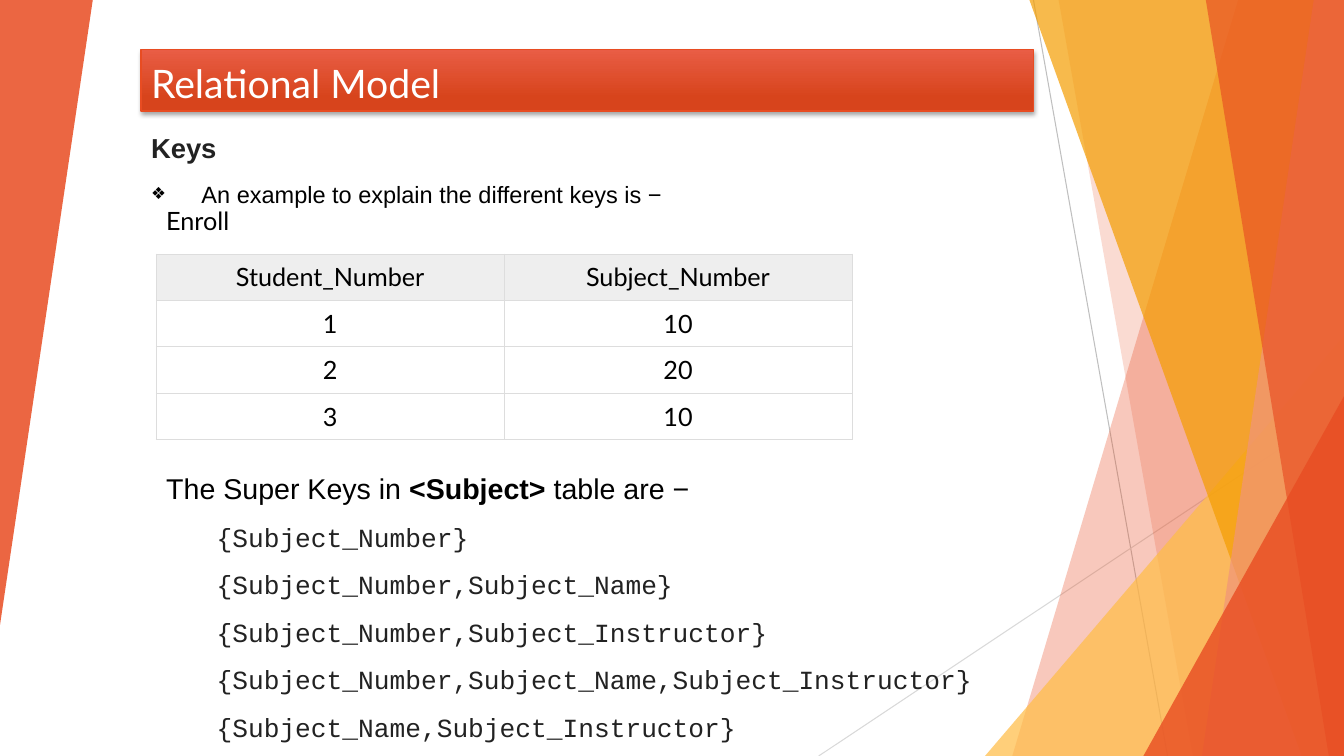
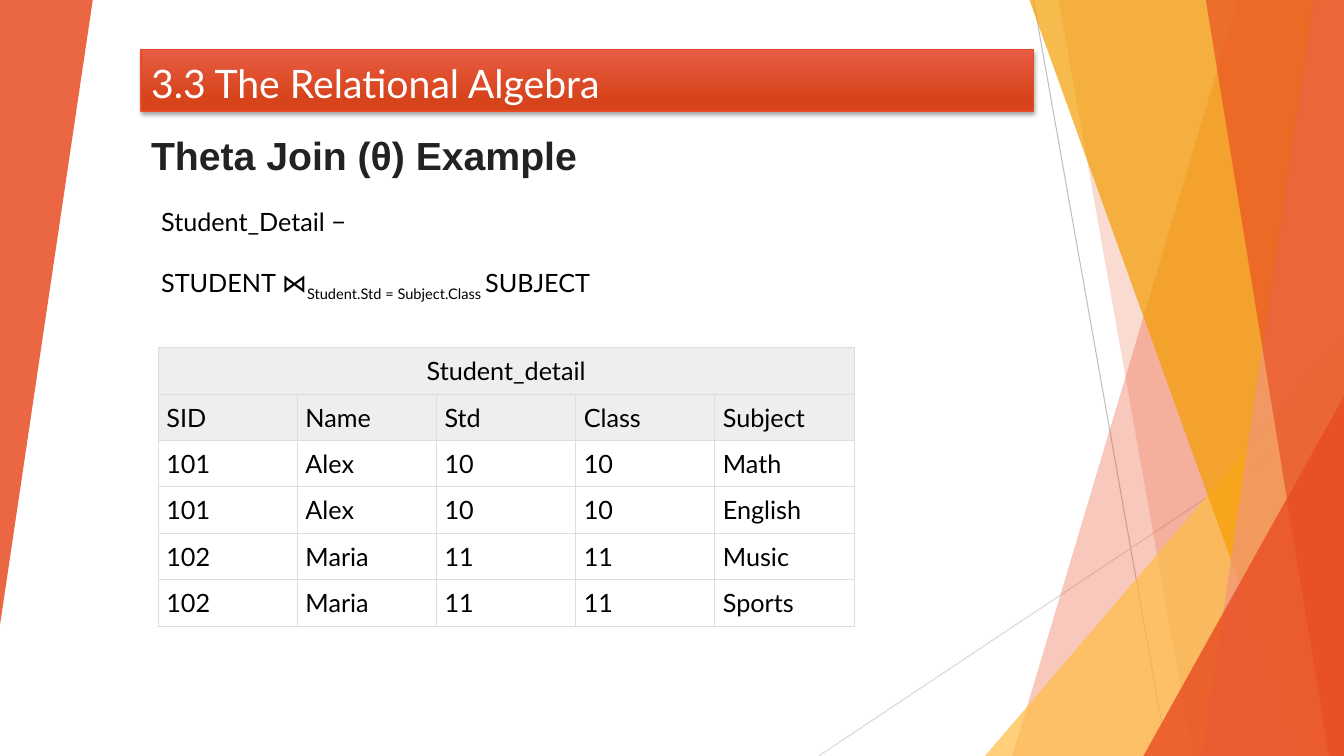
from dataclasses import dataclass

from lxml import etree
from pptx import Presentation
from pptx.dml.color import RGBColor
from pptx.enum.shapes import MSO_CONNECTOR, MSO_SHAPE
from pptx.enum.text import MSO_ANCHOR, PP_ALIGN
from pptx.oxml.ns import qn
from pptx.util import Inches, Pt

LINE = MSO_CONNECTOR.STRAIGHT
RECT, TRIANGLE = MSO_SHAPE.RECTANGLE, MSO_SHAPE.ISOSCELES_TRIANGLE
LEFT, CENTER, JUSTIFY = PP_ALIGN.LEFT, PP_ALIGN.CENTER, PP_ALIGN.JUSTIFY
TOP, BOTTOM = MSO_ANCHOR.TOP, MSO_ANCHOR.BOTTOM


@dataclass(frozen=True)
class Theme:
    """Colours, fonts, type sizes and page measures."""
    width: float = 13.33
    height: float = 7.5
    accent: str = "E84C22"
    amber: str = "F49D00"
    gold: str = "FFBD47"
    salmon: str = "F1947A"
    title_top: str = "E95D45"
    title_bottom: str = "D7441C"
    dark_line: str = "BFBFBF"
    light_line: str = "D9D9D9"
    border: str = "DDDDDD"
    header: str = "EEEEEE"
    white: str = "FFFFFF"
    black: str = "000000"
    ink: str = "222222"
    body_font: str = "Lato"
    text_font: str = "Arial"
    code_font: str = "Courier New"
    title: float = 28
    heading: float = 19.6
    bullet: float = 16.8
    lead: float = 20.4
    code: float = 18.7
    body: float = 18
    gap: float = 11.5


T = Theme()


def rgb(value):
    """Turn a hex string into a colour."""
    return RGBColor.from_string(value)


def sub(parent, tag, **attrs):
    """Append an XML child with attributes."""
    child = etree.SubElement(parent, qn(tag))
    for name, value in attrs.items():
        child.set(name, str(value))
    return child


def add_bullet(p, char, color, percent):
    """Give a paragraph a bullet character."""
    pPr = p._p.get_or_add_pPr()
    sub(sub(pPr, "a:buClr"), "a:srgbClr", val=color)
    sub(pPr, "a:buSzPct", val=percent * 1000)
    sub(pPr, "a:buFont", typeface=T.text_font)
    sub(pPr, "a:buChar", char=char)


def put_text(tf, runs, size=T.body, font=T.body_font, color=T.black, bold=False,
             align=LEFT, before=0, margin=0, hang=0, bullet=None):
    """Write one paragraph from a string or (text, bold, baseline) runs."""
    p = tf.paragraphs[0]
    if p.runs:
        p = tf.add_paragraph()
        p.space_before = Pt(before)
    p.alignment = align
    if margin:
        pPr = p._p.get_or_add_pPr()
        pPr.set("marL", str(Inches(margin)))
        pPr.set("indent", str(Inches(-hang)))
    if bullet:
        add_bullet(p, bullet, color, 71)
    if isinstance(runs, str):
        runs = [(runs, bold, 0)]
    for text, strong, baseline in runs:
        r = p.add_run()
        r.text = text
        r.font.size, r.font.name, r.font.bold = Pt(size), font, strong
        r.font.color.rgb = rgb(color)
        if baseline:
            r._r.get_or_add_rPr().set("baseline", str(baseline * 1000))


def text_box(s, x, y, w, h):
    """Add a wrapping text box and return its text frame."""
    tf = s.shapes.add_textbox(Inches(x), Inches(y), Inches(w), Inches(h)).text_frame
    tf.word_wrap = True
    return tf


def paint(sp, color, opacity):
    """Fill a shape with a translucent colour and no outline."""
    sp.shadow.inherit = False
    sp.fill.solid()
    sp.fill.fore_color.rgb = rgb(color)
    sp.line.fill.background()
    sub(sp.element.spPr.find(".//" + qn("a:srgbClr")), "a:alpha", val=opacity * 1000)


def thin_line(s, x1, y1, x2, y2, color):
    """Draw a thin straight line."""
    sp = s.shapes.add_connector(LINE, Inches(x1), Inches(y1), Inches(x2), Inches(y2))
    sp.line.color.rgb = rgb(color)
    sp.line.width = Pt(0.75)
    sub(sp.element.spPr, "a:effectLst")


def panel(s, top_x, bottom_x, color, opacity):
    """Draw a panel from a slanted left edge to the right edge of the page."""
    fb = s.shapes.build_freeform(Inches(top_x), 0)
    right, bottom = Inches(T.width), Inches(T.height)
    fb.add_line_segments([(right, 0), (right, bottom), (Inches(bottom_x), bottom)])
    paint(fb.convert_to_shape(), color, opacity)


def corner(s, x, y, w, h, color, opacity, rotation=0):
    """Draw a right-angled triangle."""
    sp = s.shapes.add_shape(TRIANGLE, Inches(x), Inches(y), Inches(w), Inches(h))
    sp.adjustments[0] = 1
    sp.rotation = rotation
    paint(sp, color, opacity)


def facets(s):
    """Draw the facets at both sides of the page."""
    thin_line(s, 10.25, 0, 11.58, T.height, T.dark_line)
    thin_line(s, T.width, 4.03, 8.12, T.height, T.light_line)
    panel(s, 12.28, 10.04, T.accent, 30)
    panel(s, 10.5, 11.83, T.accent, 20)
    corner(s, 9.77, 3.33, 3.56, 4.17, T.gold, 72)
    panel(s, 10.21, 12.91, T.amber, 70)
    panel(s, 13.03, 11.92, T.salmon, 70)
    panel(s, 11.96, 13.18, T.accent, 65)
    corner(s, 11.34, 3.93, 1.99, 3.57, T.accent, 80)
    corner(s, 0, 0, 0.92, 6.2, T.accent, 85, rotation=180)


def share_facets(s, layout):
    """Replace the layout's placeholders with the facets, drawn by way of a slide."""
    for ph in list(layout.placeholders):
        ph.element.getparent().remove(ph.element)
    facets(s)
    for sp in list(s.shapes):
        layout.shapes.element.append(sp.element)


def title_bar(s, text, x=1.4, y=0.49, w=8.85, h=0.61):
    """Draw the gradient title bar."""
    sp = s.shapes.add_shape(RECT, Inches(x), Inches(y), Inches(w), Inches(h))
    sp.fill.gradient()
    sp.fill.gradient_angle = 270
    stops = zip(sp.fill.gradient_stops, ((0, T.title_top), (0.78, T.title_bottom)))
    for stop, (position, color) in stops:
        stop.position = position
        stop.color.rgb = rgb(color)
    sp.line.color.rgb = rgb(T.accent)
    sp.line.width = Pt(1)
    sp.shadow.inherit = False
    shadow = sub(sp.element.spPr.find(qn("a:effectLst")), "a:outerShdw",
                 blurRad=Pt(3), dist=Pt(2), dir=5400000, rotWithShape=0)
    sub(sub(shadow, "a:srgbClr", val=T.black), "a:alpha", val=35000)
    tf = sp.text_frame
    tf.word_wrap = True
    tf.vertical_anchor = BOTTOM
    put_text(tf, text, size=T.title, color=T.white)


def style_cell(cell, fill):
    """Give a cell its insets, borders and fill."""
    cell.margin_left = cell.margin_right = Inches(0.08)
    cell.margin_top = cell.margin_bottom = Inches(0.08)
    cell.vertical_anchor = TOP
    tcPr = cell._tc.get_or_add_tcPr()
    for side in ("a:lnL", "a:lnR", "a:lnT", "a:lnB"):
        ln = sub(tcPr, side, w=Pt(0.75))
        sub(sub(ln, "a:solidFill"), "a:srgbClr", val=T.border)
    cell.fill.solid()
    cell.fill.fore_color.rgb = rgb(fill)


def data_table(s, x, y, w, rows, caption=None, align=LEFT, row_h=0.46):
    """Add a table with a grey header and an optional caption row."""
    cols = len(rows[0])
    heads = 1
    if caption:
        rows = [[caption] + [""] * (cols - 1)] + rows
        heads = 2
    frame = s.shapes.add_table(len(rows), cols, Inches(x), Inches(y),
                               Inches(w), Inches(row_h * len(rows)))
    table = frame.table
    table.first_row = table.horz_banding = False
    if caption:
        table.cell(0, 0).merge(table.cell(0, cols - 1))
    for i, row in enumerate(rows):
        for j, text in enumerate(row):
            cell = table.cell(i, j)
            style_cell(cell, T.header if i < heads else T.white)
            if text:
                centred = caption and i == 0
                put_text(cell.text_frame, text, align=CENTER if centred else align)


def keys_slide(s):
    """Build the slide on super keys."""
    title_bar(s, "Relational Model")
    tf = text_box(s, 1.4, 1.25, 8.85, 0.75)
    put_text(tf, "Keys", size=T.heading, font=T.text_font, color=T.ink, bold=True)
    put_text(tf, "An example to explain the different keys is −", size=T.bullet,
             font=T.text_font, align=JUSTIFY, before=T.gap,
             margin=0.5, hang=0.5, bullet="❖")
    put_text(text_box(s, 1.55, 1.99, 1.71, 0.4), "Enroll")
    data_table(s, 1.55, 2.52, 6.9, [
        ["Student_Number", "Subject_Number"],
        ["1", "10"],
        ["2", "20"],
        ["3", "10"],
    ], align=CENTER)
    tf = text_box(s, 1.55, 4.62, 8.85, 2.39)
    put_text(tf, [("The Super Keys in ", False, 0), ("<Subject>", True, 0),
                  (" table are −", False, 0)],
             size=T.lead, font=T.text_font, align=JUSTIFY)
    for key in ("{Subject_Number}",
                "{Subject_Number,Subject_Name}",
                "{Subject_Number,Subject_Instructor}",
                "{Subject_Number,Subject_Name,Subject_Instructor}",
                "{Subject_Name,Subject_Instructor}"):
        put_text(tf, key, size=T.code, font=T.code_font, color=T.ink,
                 align=JUSTIFY, before=T.gap, margin=0.5)


def join_slide(s):
    """Build the slide on the theta join."""
    title_bar(s, "3.3 The Relational Algebra")
    put_text(text_box(s, 1.4, 1.25, 8.85, 0.61), "Theta Join (θ) Example",
             size=T.title, font=T.text_font, color=T.ink, bold=True)
    tf = text_box(s, 1.5, 2, 6.78, 1.01)
    put_text(tf, "Student_Detail −")
    put_text(tf, [("STUDENT ⋈", False, 0), ("Student.Std = Subject.Class ", False, -25),
                  ("SUBJECT", False, 0)], before=22)
    data_table(s, 1.57, 3.45, 6.9, [
        ["SID", "Name", "Std", "Class", "Subject"],
        ["101", "Alex", "10", "10", "Math"],
        ["101", "Alex", "10", "10", "English"],
        ["102", "Maria", "11", "11", "Music"],
        ["102", "Maria", "11", "11", "Sports"],
    ], caption="Student_detail")


def main():
    """Build and save the presentation."""
    prs = Presentation()
    prs.slide_width, prs.slide_height = Inches(T.width), Inches(T.height)
    blank = prs.slide_layouts[6]
    for build in (keys_slide, join_slide):
        s = prs.slides.add_slide(blank)
        if build is keys_slide:
            share_facets(s, blank)
        build(s)
    prs.save("out.pptx")


if __name__ == "__main__":
    main()
